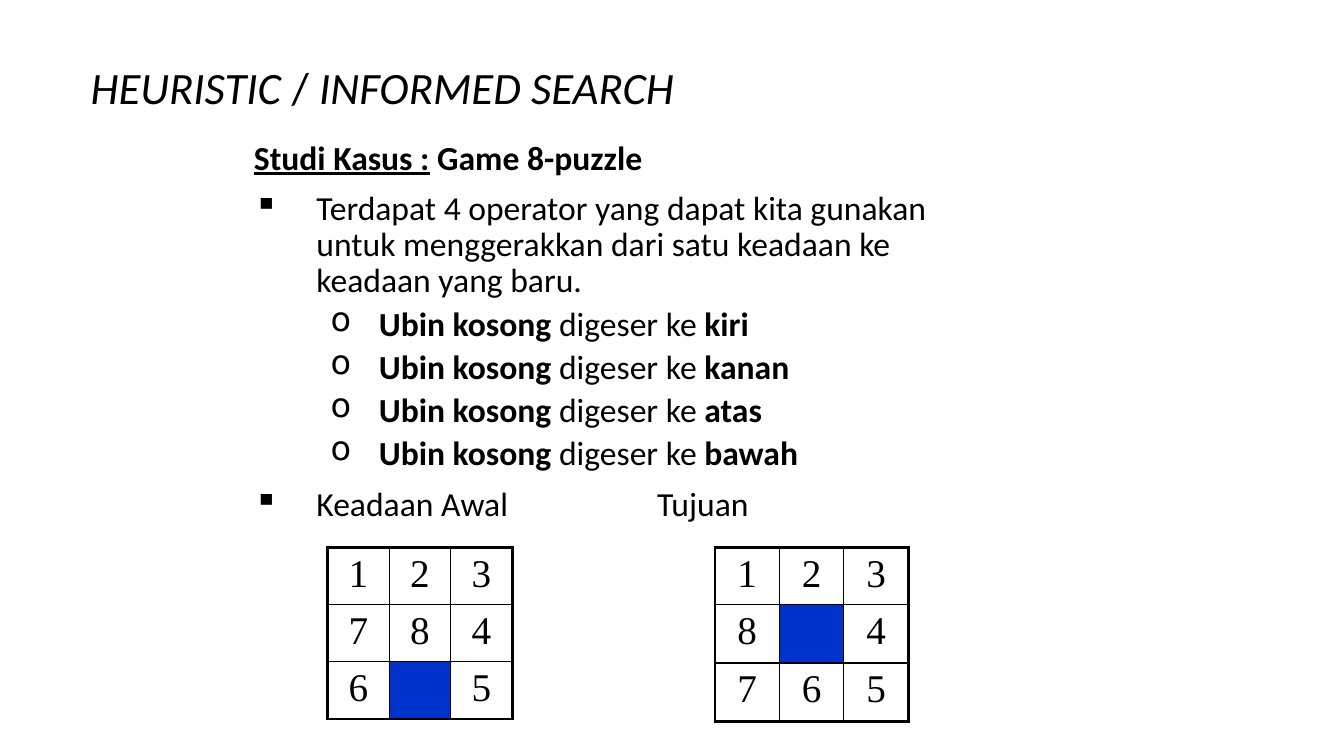
import dataclasses

import lxml.etree
import pptx
import pptx.dml.color
import pptx.enum.text
import pptx.oxml.ns
import pptx.util

Inches = pptx.util.Inches
Pt = pptx.util.Pt
qn = pptx.oxml.ns.qn

COLORS = {"text": "000000", "line": "000000", "blank": "0033CC"}
THICK, THIN = Pt(2.25), Pt(1)


@dataclasses.dataclass(frozen=True)
class Run:
    text: str
    bold: bool = False
    italic: bool = False
    underline: bool = False


@dataclasses.dataclass(frozen=True)
class Para:
    runs: tuple[Run, ...]
    bullet: str = ""
    level: int = 0


@dataclasses.dataclass(frozen=True)
class Puzzle:
    left: float
    column_width: float
    row_heights: tuple[float, ...]
    tiles: tuple[str, ...]


TITLE = (
    Run("HEURISTIC", italic=True),
    Run(" / "),
    Run("INFORMED SEARCH", italic=True),
)
MOVES = tuple(
    Para((Run("Ubin kosong ", bold=True), Run("digeser ke "), Run(direction, bold=True)), "o", 1)
    for direction in ("kiri", "kanan", "atas", "bawah")
)
BODY = (
    Para((Run("Studi Kasus :", bold=True, underline=True), Run(" Game 8-puzzle", bold=True))),
    Para((Run("Terdapat 4 operator yang dapat kita gunakan untuk menggerakkan "
              "dari satu keadaan ke keadaan yang baru."),), "▪"),
    *MOVES,
    Para((Run("Keadaan Awal\t\t\tTujuan"),), "▪"),
)
PUZZLES = (
    Puzzle(3.25, 0.61, (0.54, 0.54, 0.54), ("123", "784", "6 5")),
    Puzzle(7.09, 0.64, (0.53, 0.58, 0.58), ("123", "8 4", "765")),
)


def rgb(name: str) -> pptx.dml.color.RGBColor:
    return pptx.dml.color.RGBColor.from_string(COLORS[name])


def add_text(p, text: str, *, size: float, font: str = "Calibri", bold: bool = False,
             italic: bool = False, underline: bool = False) -> None:
    r = p.add_run()
    r.text = text
    r.font.size = Pt(size)
    r.font.name = font
    r.font.bold = bold
    r.font.italic = italic
    r.font.underline = underline
    r.font.color.rgb = rgb("text")


def add_runs(p, runs: tuple[Run, ...], size: float) -> None:
    p.line_spacing = 0.9
    for run in runs:
        add_text(p, size=size, **dataclasses.asdict(run))


def add_box(s, left: float, top: float, width: float, height: float):
    sp = s.shapes.add_textbox(Inches(left), Inches(top), Inches(width), Inches(height))
    sp.text_frame.word_wrap = True
    return sp.text_frame


def add_title(s) -> None:
    tf = add_box(s, 0.8, 0.43, 8.25, 0.92)
    tf.vertical_anchor = pptx.enum.text.MSO_ANCHOR.MIDDLE
    add_runs(tf.paragraphs[0], TITLE, 32)


def add_body(s) -> None:
    tf = add_box(s, 2.42, 1.35, 7.63, 3.72)
    for i, para in enumerate(BODY):
        p = tf.add_paragraph() if i else tf.paragraphs[0]
        p.level = para.level
        p.space_before = Pt(5 if para.level else 10)
        add_runs(p, para.runs, 24)
        margin, hanging = (1.24, 0.48) if para.level else (0.62, 0.62)
        pPr = p._p.get_or_add_pPr()
        pPr.set("marL", str(Inches(margin)))
        pPr.set("indent", str(-Inches(hanging)))
        if para.bullet:
            lxml.etree.SubElement(pPr, qn("a:buChar")).set("char", para.bullet)
        else:
            lxml.etree.SubElement(pPr, qn("a:buNone"))


def set_borders(cell, row: int, col: int, last: int) -> None:
    tcPr = cell._tc.get_or_add_tcPr()
    outer = {"L": col == 0, "R": col == last, "T": row == 0, "B": row == last}
    for side, is_outer in outer.items():
        ln = lxml.etree.SubElement(tcPr, qn(f"a:ln{side}"))
        ln.set("w", str(THICK if is_outer else THIN))
        fill = lxml.etree.SubElement(ln, qn("a:solidFill"))
        lxml.etree.SubElement(fill, qn("a:srgbClr")).set("val", COLORS["line"])


def add_puzzle(s, puzzle: Puzzle) -> None:
    n = len(puzzle.tiles)
    frame = s.shapes.add_table(n, n, Inches(puzzle.left), Inches(5.43),
                               Inches(n * puzzle.column_width), Inches(sum(puzzle.row_heights)))
    table = frame.table
    table.first_row = False
    table.horz_banding = False
    for column in table.columns:
        column.width = Inches(puzzle.column_width)
    for row, (height, tiles) in enumerate(zip(puzzle.row_heights, puzzle.tiles)):
        table.rows[row].height = Inches(height)
        for col, tile in enumerate(tiles):
            cell = table.cell(row, col)
            set_borders(cell, row, col, n - 1)
            if tile == " ":
                cell.fill.solid()
                cell.fill.fore_color.rgb = rgb("blank")
                continue
            cell.fill.background()
            p = cell.text_frame.paragraphs[0]
            p.alignment = pptx.enum.text.PP_ALIGN.CENTER
            add_text(p, tile, size=28, font="Times New Roman")


def main() -> None:
    prs = pptx.Presentation()
    prs.slide_width = Inches(13.33)
    prs.slide_height = Inches(7.5)
    s = prs.slides.add_slide(prs.slide_layouts[6])
    add_title(s)
    add_body(s)
    for puzzle in PUZZLES:
        add_puzzle(s, puzzle)
    prs.save("out.pptx")


if __name__ == "__main__":
    main()
